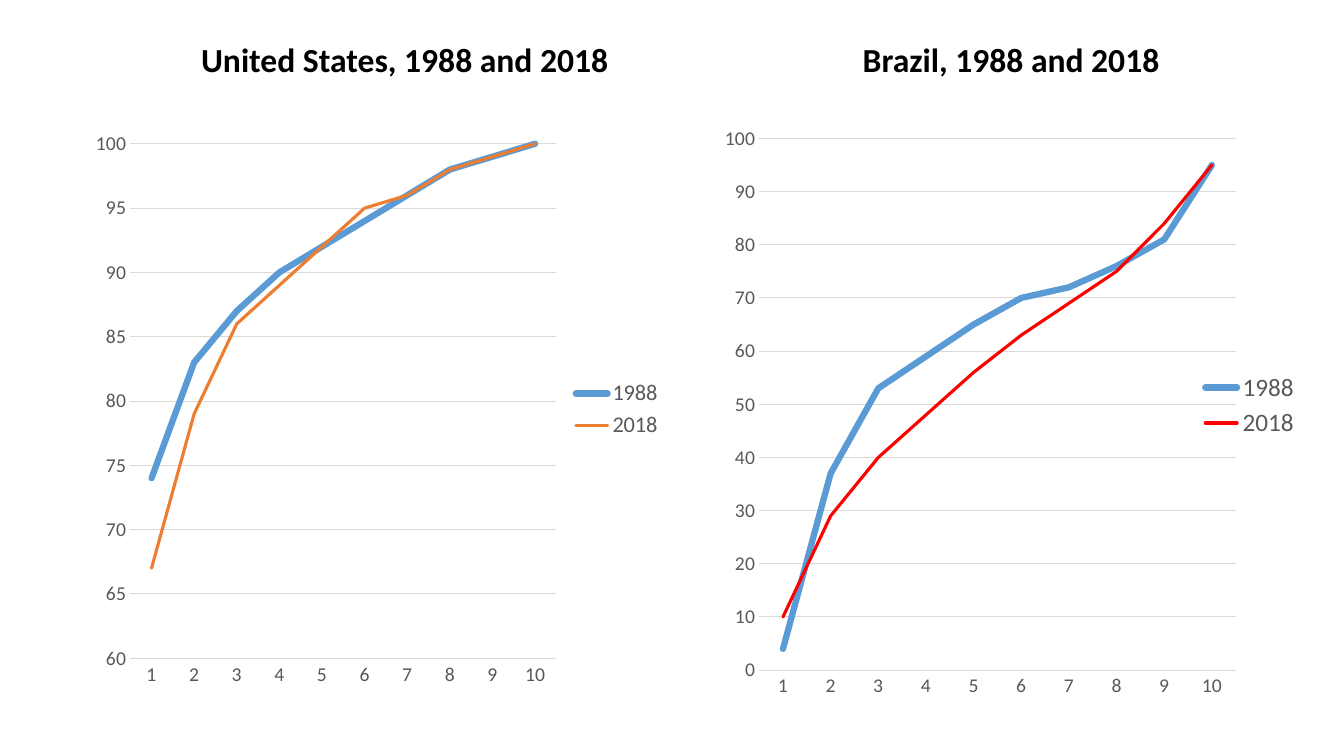
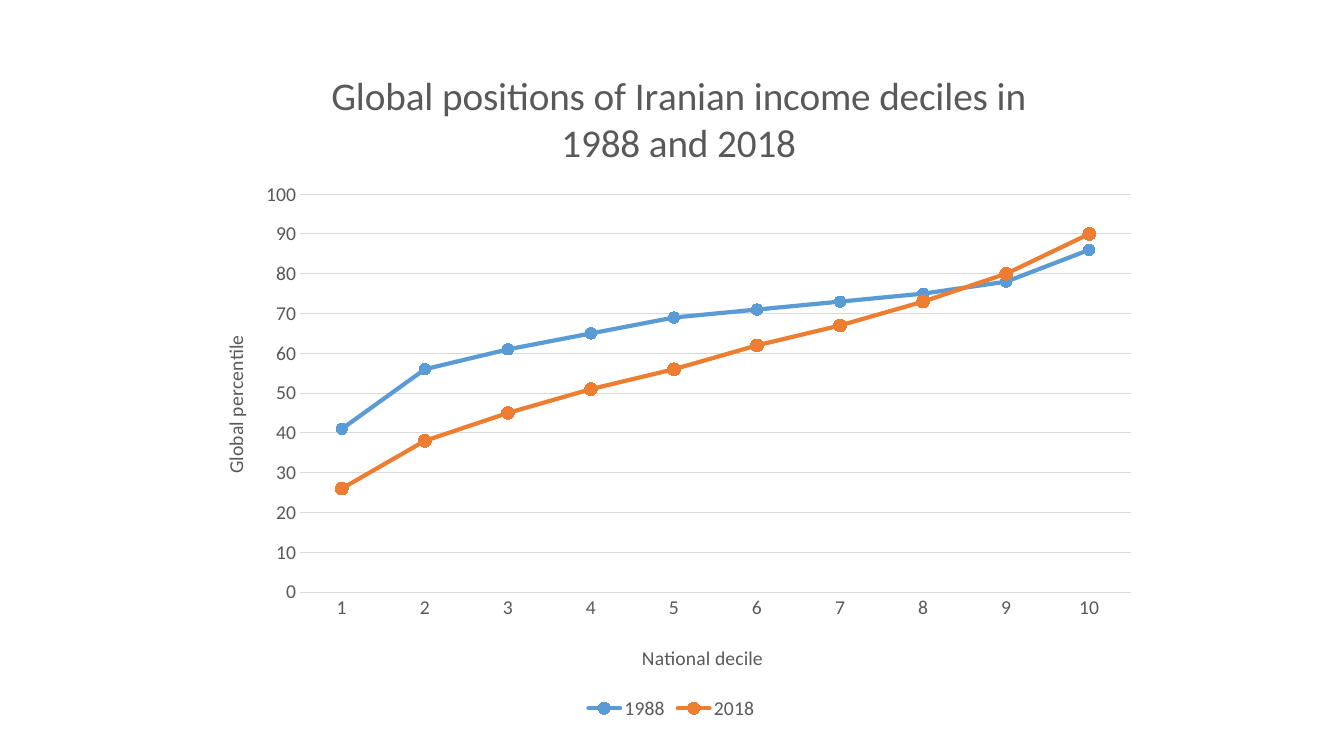
import pptx
import pptx.chart.data
import pptx.dml.color
import pptx.enum.chart
import pptx.enum.text
import pptx.oxml
import pptx.oxml.ns
import pptx.util

PX = 9525  # EMU in one px, 96 px to the inch
FONT = "Calibri"
COLORS = {"heading": "000000", "label": "595959", "grid": "D9D9D9",
          "blue": "5B9BD5", "orange": "ED7D31", "red": "FF0000"}
DECILES = [str(decile) for decile in range(1, 11)]
YEARS = ("1988", "2018")


def px(length):
    return pptx.util.Emu(length * PX)


def rgb(name):
    return pptx.dml.color.RGBColor.from_string(COLORS[name])


def style_font(font, size, color="label", bold=False):
    font.name = FONT
    font.size = pptx.util.Pt(size)
    font.bold = bold
    font.color.rgb = rgb(color)


def style_line(line, color, width):
    line.color.rgb = rgb(color)
    line.width = pptx.util.Pt(width)


def write(frame, text, **style):
    """Put one centred, formatted line of text in a text frame."""
    paragraph = frame.paragraphs[0]
    paragraph.alignment = pptx.enum.text.PP_ALIGN.CENTER
    run = paragraph.add_run()
    run.text = text
    style_font(run.font, **style)


def place_in_chart(element, index, chart_box, position, inner=False):
    """Give a chart part a manual layout, in px from the chart's corner."""
    for old in element.findall(pptx.oxml.ns.qn("c:layout")):
        element.remove(old)
    width, height = chart_box[2:]
    spans = (width, height, width, height)
    entries = [("layoutTarget", "inner")] if inner else []
    entries += [("xMode", "edge"), ("yMode", "edge")]
    entries += [(key, length / span) for key, length, span in zip("xywh", position, spans)]
    body = "".join(f'<c:{key} val="{value}"/>' for key, value in entries)
    element.insert(index, pptx.oxml.parse_xml(
        f'<c:layout {pptx.oxml.ns.nsdecls("c")}><c:manualLayout>{body}'
        '</c:manualLayout></c:layout>'))


def add_heading(slide, box, text):
    frame = slide.shapes.add_textbox(*map(px, box)).text_frame
    frame.word_wrap = True
    frame.auto_size = pptx.enum.text.MSO_AUTO_SIZE.SHAPE_TO_FIT_TEXT
    write(frame, text, size=24, color="heading", bold=True)


def add_chart_title(title, box, text, size, position, rotation=0):
    write(title.text_frame, text, size=size)
    title._element.xpath(".//a:bodyPr")[0].set("rot", str(rotation * 60000))
    place_in_chart(title._element, 1, box, position)


def add_decile_chart(slide, box, plot, values, colors, widths, scale,
                     legend_size, legend_at, markers=None):
    """Line chart of the ten deciles in both years, with its legend."""
    data = pptx.chart.data.CategoryChartData()
    data.categories = DECILES
    for year, year_values in zip(YEARS, values):
        data.add_series(year, year_values)
    kinds = pptx.enum.chart.XL_CHART_TYPE
    kind = kinds.LINE_MARKERS if markers else kinds.LINE
    chart = slide.shapes.add_chart(kind, *map(px, box), data).chart
    chart.has_title = False
    style_font(chart.font, 10, "heading")
    chart.plots[0].vary_by_categories = False
    place_in_chart(chart._chartSpace.chart.plotArea, 0, box, plot, inner=True)

    # Axes
    for axis in (chart.category_axis, chart.value_axis):
        axis.major_tick_mark = axis.minor_tick_mark = pptx.enum.chart.XL_TICK_MARK.NONE
        style_font(axis.tick_labels.font, 14)
    style_line(chart.category_axis.format.line, "grid", 0.75)
    value_axis = chart.value_axis
    value_axis.format.line.fill.background()
    value_axis.minimum_scale, value_axis.maximum_scale, value_axis.major_unit = scale
    value_axis.has_major_gridlines = True
    style_line(value_axis.major_gridlines.format.line, "grid", 0.75)

    # Year lines
    for index, series in enumerate(chart.plots[0].series):
        series.smooth = False
        style_line(series.format.line, colors[index], widths[index])
        series._element.xpath("c:spPr/a:ln")[0].set("cap", "rnd")
        if markers:
            marker = series.marker
            marker.style = pptx.enum.chart.XL_MARKER_STYLE.CIRCLE
            marker.size = markers[index]
            marker.format.fill.solid()
            marker.format.fill.fore_color.rgb = rgb(colors[index])
            style_line(marker.format.line, colors[index], 0.75)

    # Legend
    chart.has_legend = True
    chart.legend.position = legend_at
    chart.legend.include_in_layout = False
    style_font(chart.legend.font, legend_size)
    return chart


def build_country_pair(slide):
    right = pptx.enum.chart.XL_LEGEND_POSITION.RIGHT
    add_heading(slide, (78, 32, 615, 48), "United States, 1988 and 2018")
    add_decile_chart(
        slide, (81, 115, 560, 550), (43, 22, 406, 490),
        [(74, 83, 87, 90, 92, 94, 96, 98, 99, 100),
         (67, 79, 86, 89, 92, 95, 96, 98, 99, 100)],
        ("blue", "orange"), (4.5, 2.25), (60, 100, 5), 16, right)
    add_heading(slide, (724, 32, 478, 48), "Brazil, 1988 and 2018")
    add_decile_chart(
        slide, (669, 110, 579, 555), (54, 22, 454, 509),
        [(4, 37, 53, 59, 65, 70, 72, 76, 81, 95),
         (10, 29, 40, 48, 56, 63, 69, 75, 84, 95)],
        ("blue", "red"), (4.5, 2.25), (0, 100, 10), 18, right)


def build_iran(slide):
    box = (184, 29, 911, 661)
    chart = add_decile_chart(
        slide, box, (102, 156, 791, 379),
        [(41, 56, 61, 65, 69, 71, 73, 75, 78, 86),
         (26, 38, 45, 51, 56, 62, 67, 73, 80, 90)],
        ("blue", "orange"), (3, 3), (0, 100, 10), 14,
        pptx.enum.chart.XL_LEGEND_POSITION.BOTTOM, markers=(8, 9))
    chart.has_title = True
    add_chart_title(chart.chart_title, box,
                    "Global positions of Iranian income deciles in 1988 and 2018",
                    28, (125, 30))
    add_chart_title(chart.category_axis.axis_title, box, "National decile", 14, (424, 581))
    add_chart_title(chart.value_axis.axis_title, box, "Global percentile", 14,
                    (24, 287), rotation=-90)


def main():
    deck = pptx.Presentation()
    deck.slide_width, deck.slide_height = px(1280), px(720)
    blank = deck.slide_layouts[6]
    for build in (build_country_pair, build_iran):
        build(deck.slides.add_slide(blank))
    deck.save("out.pptx")


if __name__ == "__main__":
    main()
